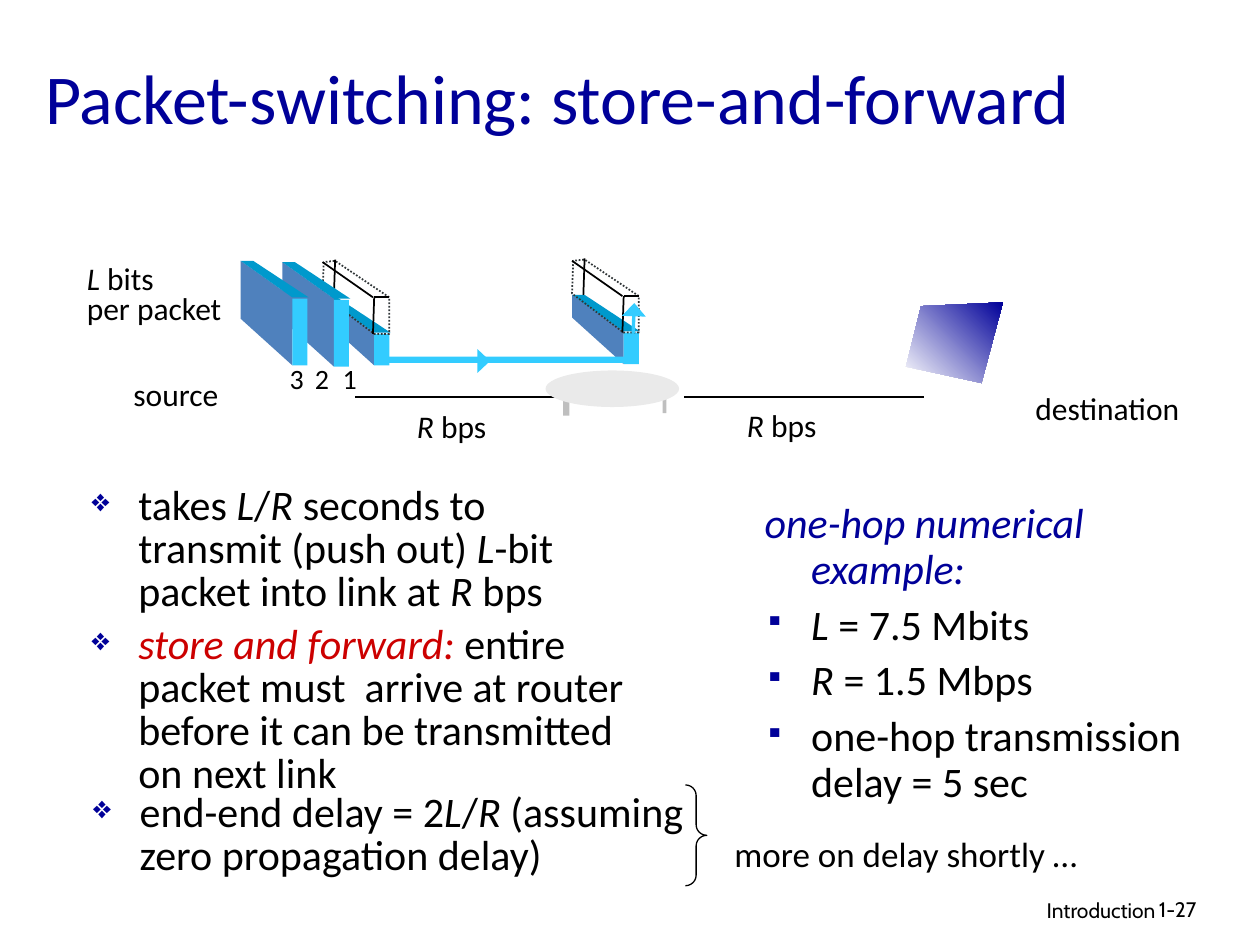
"""Build the slide on store-and-forward packet switching."""
from dataclasses import dataclass
from typing import Optional

from lxml.etree import SubElement as Sub
from pptx import Presentation
from pptx.dml.color import RGBColor as Rgb
from pptx.enum.dml import MSO_LINE as Dash
from pptx.enum.shapes import MSO_CONNECTOR as Conn, MSO_SHAPE as Kind
from pptx.enum.text import MSO_ANCHOR as Anchor, MSO_AUTO_SIZE as Auto, PP_ALIGN as Align
from pptx.oxml.ns import qn
from pptx.util import Inches, Pt

BLACK, NAVY, RED = "000000", "000099", "CC0000"
CYAN, TEAL, STEEL = "33CCFF", "0099CC", "4F81BD"

prs = Presentation()
prs.slide_width, prs.slide_height = Inches(10), Inches(7.5)
slide = prs.slides.add_slide(prs.slide_layouts[6])
shapes = slide.shapes


@dataclass
class Para:
    """Text with *italic* parts and its paragraph format."""
    text: str
    hue: str = BLACK
    tint: str = ""
    mark: str = ""
    size: int = 75
    hang: bool = False
    form: Optional[dict] = None


@dataclass
class Box:
    """Text box place and content."""
    at: tuple
    paras: list
    pts: int = 18
    face: str = "Calibri"
    wrap: bool = False
    anchor: Anchor = Anchor.TOP


@dataclass
class Pack:
    """Packet whose upper part, of height sent, has left."""
    x: float
    y: float
    sent: float = 0


def color(code: str) -> Rgb:
    return Rgb.from_string(code)


def assign(item, form: dict) -> None:
    for key, value in form.items():
        setattr(item, key, value)


def bullet(para, mark: str, size: int) -> None:
    props = para._p.get_or_add_pPr()
    tint = Sub(props, qn("a:buClr"))
    Sub(tint, qn("a:srgbClr"), val=NAVY)
    Sub(props, qn("a:buSzPct"), val=str(size * 1000))
    Sub(props, qn("a:buChar"), char=mark)


def write(box: Box) -> None:
    frame = shapes.add_textbox(*map(Inches, box.at)).text_frame
    assign(frame, {
        "word_wrap": box.wrap,
        "auto_size": Auto.NONE if box.wrap else Auto.SHAPE_TO_FIT_TEXT,
        "vertical_anchor": box.anchor,
    })
    for i, item in enumerate(box.paras):
        para = frame.add_paragraph() if i else frame.paragraphs[0]
        if item.hang:
            props = para._p.get_or_add_pPr()
            props.set("marL", str(Inches(0.37)))
            props.set("indent", str(Inches(-0.37)))
        if item.mark:
            bullet(para, item.mark, item.size)
        assign(para, item.form or {})
        if i and item.hang:
            para.space_before = Pt(6)
        for j, part in enumerate(item.text.split("*")):
            if part:
                run = para.add_run()
                run.text = part
                slant = j % 2 == 1
                assign(run.font, {"name": box.face, "size": Pt(box.pts), "italic": slant})
                run.font.color.rgb = color(item.tint if slant and item.tint else item.hue)


def paint(shape, hue: str):
    shape.shadow.inherit = False
    shape.fill.solid()
    shape.fill.fore_color.rgb = color(hue)
    shape.line.fill.background()
    return shape


def solid(kind: Kind, at: tuple, hue: str, adjust: tuple = (), turn: float = 0) -> None:
    shape = paint(shapes.add_shape(kind, *map(Inches, at)), hue)
    shape.rotation = turn
    for i, value in enumerate(adjust):
        shape.adjustments[i] = value


def outline(points: list):
    first, *rest = [(Inches(x), Inches(y)) for x, y in points]
    pen = shapes.build_freeform(*first)
    pen.add_line_segments(rest)
    shape = pen.convert_to_shape()
    shape.shadow.inherit = False
    return shape


def line(start: tuple, end: tuple, width: float) -> None:
    link = shapes.add_connector(Conn.STRAIGHT, *map(Inches, start + end))
    link.line.width = Pt(width)
    link.line.color.rgb = color(BLACK)
    Sub(link._element.spPr, qn("a:effectLst"))


def packet(pack: Pack) -> None:
    def move(*points):
        return [(pack.x + x, pack.y + y) for x, y in points]

    top = pack.sent
    paint(outline(move((0, top), (0, 0.46), (0.41, 0.83), (0.41, top + 0.29))), STEEL)
    paint(outline(move((0.1, top), (0, top), (0.41, top + 0.29), (0.54, top + 0.29))), TEAL)
    solid(Kind.RECTANGLE, (pack.x + 0.41, pack.y + top + 0.3, 0.12, 0.53 - top), CYAN)
    if top:
        ghost = outline(move((0.01, 0.01), (0, 0.27), (0.41, 0.58),
                             (0.53, 0.58), (0.53, 0.29), (0.1, 0)))
        ghost.fill.background()
        assign(ghost.line, {"width": Pt(1), "dash_style": Dash.ROUND_DOT})
        ghost.line.color.rgb = color("313739")
        for ends in (((0, 0.01), (0.4, 0.29)), ((0.41, 0.29), (0.53, 0.29)),
                     ((0.41, 0.29), (0.4, 0.58)), ((0.1, -0.01), (0.09, 0.28))):
            line(*move(*ends), 1)


def draw() -> None:
    for start, end in ((2.82, 4.72), (5.43, 7.33)):
        line((start, 3.15), (end, 3.15), 1.5)
    solid(Kind.RECTANGLE, (5.26, 3.15, 0.03, 0.13), "BFBFBF")
    solid(Kind.RECTANGLE, (4.47, 3.17, 0.05, 0.13), "BFBFBF")
    solid(Kind.OVAL, (4.33, 2.94, 1.06, 0.29), "EAEAEA")

    screen = outline([(7.96, 2.4), (7.31, 2.43), (7.19, 2.91), (7.79, 3.04)])
    screen.line.fill.background()
    screen.fill.gradient()
    screen.fill.gradient_angle = 45
    for stop, (place, hue) in zip(screen.fill.gradient_stops, ((0, "FFFFFF"), (1, NAVY))):
        stop.position = place
        stop.color.rgb = color(hue)

    for pack in (Pack(4.54, 2.06, 0.28), Pack(2.56, 2.07, 0.28), Pack(2.24, 2.08)):
        packet(pack)
    solid(Kind.RECTANGLE, (3.02, 2.83, 1.95, 0.05), CYAN)
    solid(Kind.RIGHT_ARROW, (3.66, 2.77, 0.23, 0.19), CYAN, (0.14, 0.53))
    packet(Pack(1.91, 2.07))
    solid(Kind.RIGHT_ARROW, (4.91, 2.43, 0.24, 0.19), CYAN, (0.14, 0.55), 272)

    brace = shapes.add_shape(Kind.RIGHT_BRACE, *map(Inches, (5.44, 6.23, 0.17, 0.8)))
    brace.shadow.inherit = False
    brace.fill.background()
    brace.line.width = Pt(0.75)
    brace.line.color.rgb = color(BLACK)
    brace.adjustments[0] = 0.49


def label() -> None:
    tight, loose, fixed = ({"line_spacing": gap} for gap in (0.85, 0.9, Pt(16.6)))
    main = {"mark": "❖", "hang": True, "form": tight}
    side = {"mark": "▪", "size": 65, "hang": True, "form": loose}
    boxes = [
        Box((0.26, 0.31, 8.96, 0.91), [Para("Packet-switching: store-and-forward", NAVY)],
            40, wrap=True, anchor=Anchor.MIDDLE),
        Box((0.63, 3.81, 4.53, 3.57), [
            Para("takes *L*/*R* seconds to transmit (push out) *L*-bit packet into link at *R* bps",
                 **main),
            Para("*store and forward: *entire packet must  arrive at router before it can be "
                 "transmitted on next link", tint=RED, **main)], 24, wrap=True),
        Box((0.64, 6.25, 5.03, 1.05), [
            Para("end-end delay = 2*L*/*R* (assuming zero propagation delay)", **main)],
            24, wrap=True),
        Box((5.97, 3.94, 3.84, 2.44), [
            Para("*one-hop numerical example:*", NAVY, hang=True, form=loose),
            Para("*L* = 7.5 Mbits", **side),
            Para("*R* = 1.5 Mbps", **side),
            Para("one-hop transmission delay = 5 sec", **side)], 24, wrap=True),
        Box((5.73, 6.56, 3.35, 0.44), [Para("more on delay shortly …")], 20),
        Box((0.59, 2.08, 1.28, 0.56), [Para("*L* bits", form=fixed),
                                       Para("per packet", form=fixed)]),
        Box((0.96, 2.93, 0.88, 0.4), [Para("source")]),
        Box((8.12, 3.04, 1.34, 0.4), [Para("destination")]),
        Box((6.1, 7.07, 3.17, 0.31), [Para("Introduction", form={"alignment": Align.RIGHT})],
            12, "Cabin", True),
        Box((9.1, 7.07, 0.74, 0.3), [Para("1-27")], 12, "Cabin", True),
    ]
    boxes += [Box((x, y, 0.75, 0.4), [Para("*R* bps")]) for x, y in ((3.21, 3.18), (5.83, 3.17))]
    boxes += [Box((x, 2.82, 0.31, 0.37), [Para(tag)], 16)
              for tag, x in (("1", 2.62), ("2", 2.4), ("3", 2.2))]
    for box in boxes:
        write(box)


draw()
label()
prs.save("out.pptx")
